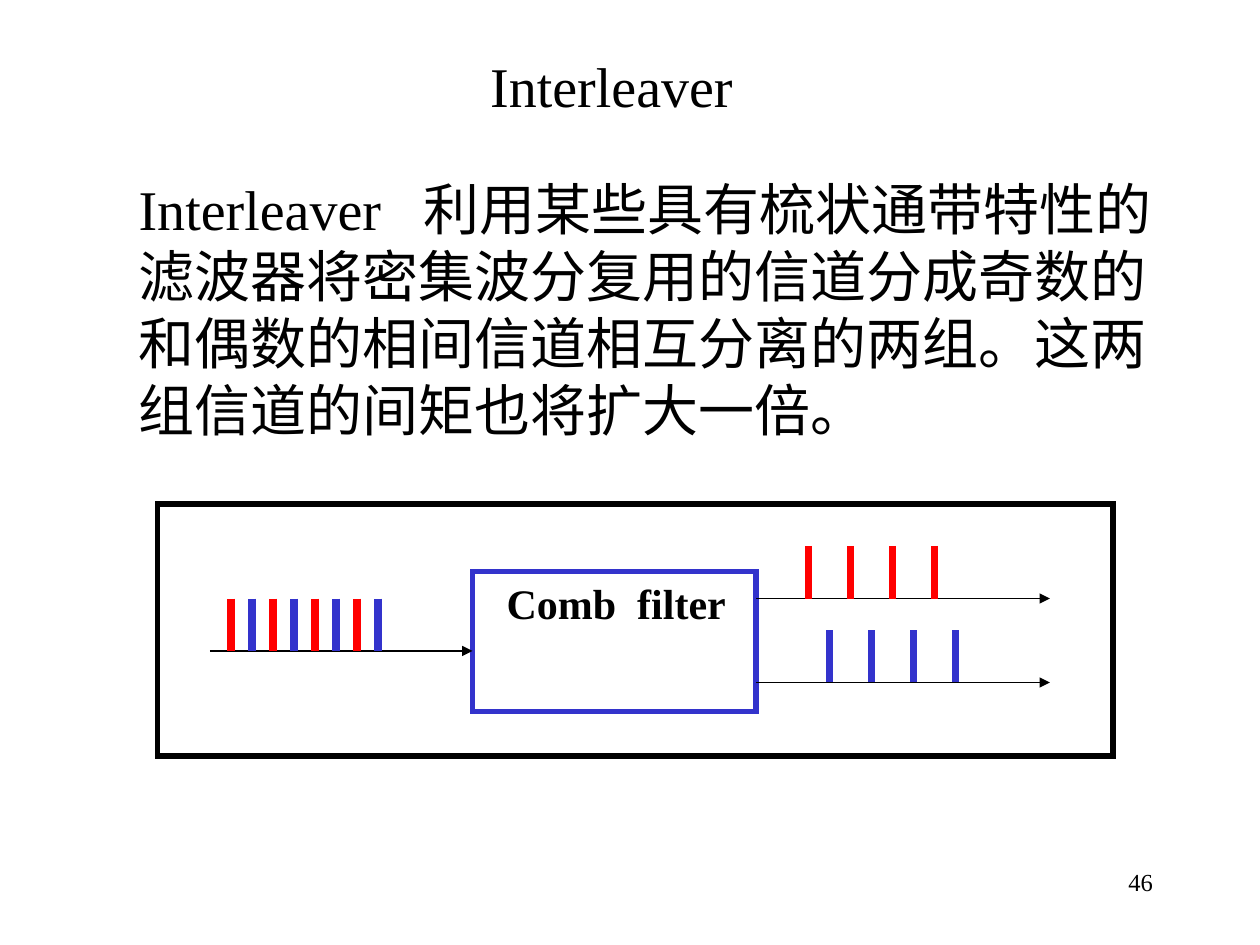
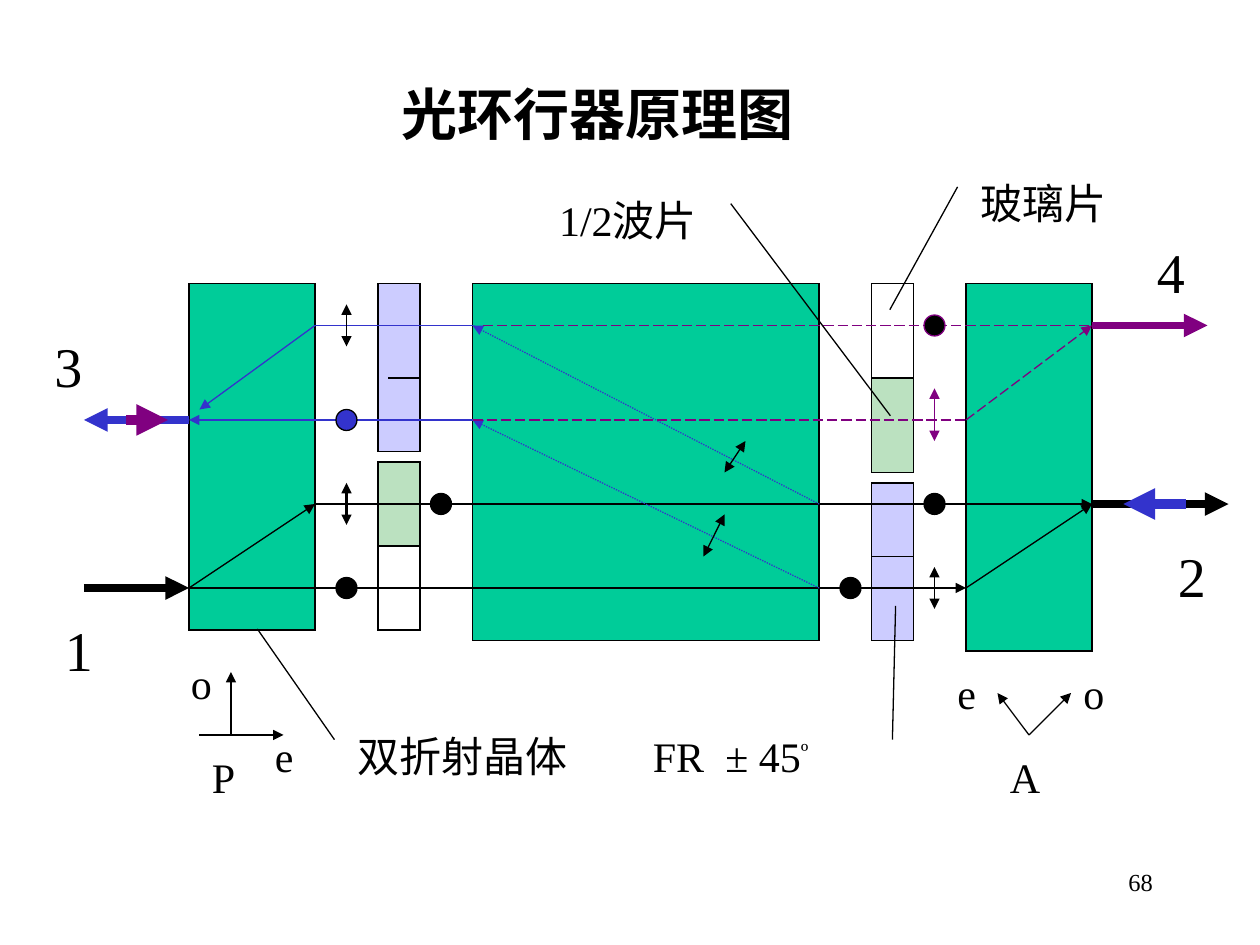
from dataclasses import dataclass
from typing import NamedTuple, Optional

from lxml import etree
from pptx import Presentation
from pptx.dml.color import RGBColor
from pptx.enum.dml import MSO_LINE
from pptx.enum.shapes import MSO_CONNECTOR, MSO_SHAPE
from pptx.enum.text import MSO_ANCHOR, MSO_AUTO_SIZE, PP_ALIGN
from pptx.oxml.ns import qn
from pptx.util import Inches, Pt

STRAIGHT = MSO_CONNECTOR.STRAIGHT
RECTANGLE = MSO_SHAPE.RECTANGLE
CIRCLE = MSO_SHAPE.FLOWCHART_CONNECTOR
DOTTED = MSO_LINE.ROUND_DOT
DASHED = MSO_LINE.LONG_DASH
LEFT, CENTER, RIGHT = PP_ALIGN.LEFT, PP_ALIGN.CENTER, PP_ALIGN.RIGHT
TOP = MSO_ANCHOR.TOP
NO_AUTOFIT = MSO_AUTO_SIZE.NONE
TITLE_AND_BODY, TITLE_ONLY = 1, 5


@dataclass(frozen=True)
class Theme:
    font: str = "Times New Roman"
    black: str = "000000"
    red: str = "FF0000"
    blue: str = "3333CC"
    purple: str = "800080"
    crystal: str = "00CC99"
    rotator: str = "CCCCFF"
    waveplate: str = "79C582"
    large: int = 32
    label: int = 24
    page: int = 14
    thin: float = 0.75
    frame: float = 3
    beam: float = 4.5
    pulse: float = 6


THEME = Theme()
CELL = Inches(1) / 12
PAGE_BOX = (86, 82, 25, 6)
CROSSED_ARROWS = "both"


class Box(NamedTuple):
    left: float
    top: float
    width: float
    height: float


class Line(NamedTuple):
    start: tuple[float, float]
    end: tuple[float, float]
    color: str = THEME.black
    width: float = THEME.thin
    arrow: str = ""
    dash: Optional[MSO_LINE] = None


class Block(NamedTuple):
    box: Box
    fill: str = ""
    opacity: int = 100


class Dot(NamedTuple):
    center: tuple[float, float]
    fill: str = THEME.black
    outline: str = THEME.black


class Label(NamedTuple):
    text: str
    box: Box
    size: int = THEME.label
    align: PP_ALIGN = LEFT
    inset: float = 0.1
    first_gap: float = 0
    superscript: str = ""
    bold: bool = False


class Callout(NamedTuple):
    label: Label
    target: tuple[float, float]
    elbow: tuple[float, float]


def cells(*amounts: float) -> list[int]:
    return [round(amount * CELL) for amount in amounts]


def write(shape, label: Label) -> None:
    frame = shape.text_frame
    frame.word_wrap = True
    frame.auto_size = NO_AUTOFIT
    frame.vertical_anchor = TOP
    frame.margin_left, frame.margin_right = Inches(label.inset), Inches(0.1)
    frame.margin_top = frame.margin_bottom = Inches(0.05)
    paragraph = frame.paragraphs[0]
    paragraph.alignment = label.align
    paragraph.space_before = Pt(0)
    properties = paragraph._p.get_or_add_pPr()
    properties.set("marL", "0")
    properties.set("indent", "0")
    etree.SubElement(properties, qn("a:buNone"))
    font = paragraph.font
    font.name, font.size, font.bold = THEME.font, Pt(label.size), label.bold
    font.color.rgb = RGBColor.from_string(THEME.black)
    pieces = label.text.partition(" ") if label.first_gap else (label.text,)
    for piece in pieces:
        run = paragraph.add_run()
        run.text = piece
        if label.first_gap and piece == " ":
            run._r.get_or_add_rPr().set("spc", str(round(label.first_gap * 100)))
    if label.superscript:
        raised = paragraph.add_run()
        raised.text = label.superscript
        raised._r.get_or_add_rPr().set("baseline", "30000")


def add_label(slide, label: Label) -> None:
    write(slide.shapes.add_textbox(*cells(*label.box)), label)


def fill_placeholder(placeholder, label: Label) -> None:
    (placeholder.left, placeholder.top,
     placeholder.width, placeholder.height) = cells(*label.box)
    write(placeholder, label)


def paint(shape, fill: str, outline: str, width: float) -> None:
    shape.shadow.inherit = False
    if fill:
        shape.fill.solid()
        shape.fill.fore_color.rgb = RGBColor.from_string(fill)
    else:
        shape.fill.background()
    shape.line.color.rgb = RGBColor.from_string(outline)
    shape.line.width = Pt(width)
    etree.SubElement(shape._element.spPr.find(qn("a:ln")), qn("a:miter"), lim="800000")


def add_outlined(slide, kind: MSO_SHAPE, box: Box, fill: str = "",
                 outline: str = THEME.black, width: float = THEME.thin):
    shape = slide.shapes.add_shape(kind, *cells(*box))
    paint(shape, fill, outline, width)
    return shape


def add_block(slide, block: Block) -> None:
    shape = add_outlined(slide, RECTANGLE, block.box, block.fill)
    if block.opacity < 100:
        color = shape._element.spPr.find(qn("a:solidFill"))[0]
        etree.SubElement(color, qn("a:alpha"), val=str(block.opacity * 1000))


def add_dot(slide, dot: Dot) -> None:
    x, y = dot.center
    add_outlined(slide, CIRCLE, Box(x - 1, y - 1, 2, 2), dot.fill, dot.outline)


def add_callout(slide, callout: Callout) -> None:
    left, top, width, height = cells(*callout.label.box)
    right, bottom = left + width, top + height
    builder = slide.shapes.build_freeform(left, top)
    builder.add_line_segments([(right, top), (right, bottom), (left, bottom)], close=True)
    shape = builder.convert_to_shape()
    paint(shape, "", THEME.black, THEME.thin)
    panel = next(shape._element.iter(qn("a:path")))
    panel.set("stroke", "0")
    leader = etree.SubElement(panel.getparent(), qn("a:path"),
                              w=str(width), h=str(height), fill="none")
    for step, point in (("a:moveTo", callout.target), ("a:lnTo", callout.elbow)):
        x, y = cells(*point)
        etree.SubElement(etree.SubElement(leader, qn(step)), qn("a:pt"),
                         x=str(x - left), y=str(y - top))
    write(shape, callout.label)


def add_line(slide, line: Line) -> None:
    connector = slide.shapes.add_connector(STRAIGHT, *cells(*line.start, *line.end))
    connector.line.color.rgb = RGBColor.from_string(line.color)
    connector.line.width = Pt(line.width)
    if line.dash is not None:
        connector.line.dash_style = line.dash
    properties = connector._element.spPr
    outline = properties.find(qn("a:ln"))
    if line.arrow == CROSSED_ARROWS:
        etree.SubElement(outline, qn("a:headEnd"), type="triangle")
    if line.arrow:
        etree.SubElement(outline, qn("a:tailEnd"), type="triangle")
    etree.SubElement(properties, qn("a:effectLst"))


def add_channels(slide, first: float, step: float, base: float, colors: list[str]) -> None:
    for index, color in enumerate(colors):
        x = first + index * step
        add_line(slide, Line((x, base - 5), (x, base), color, THEME.beam))


def start_slide(deck, layout: int, title: Label, page: str):
    slide = deck.slides.add_slide(deck.slide_layouts[layout])
    fill_placeholder(slide.shapes.title, title)
    add_label(slide, Label(page, Box(*PAGE_BOX), THEME.page, RIGHT))
    return slide


def build_interleaver(deck) -> None:
    title = Label("Interleaver", Box(26.25, 4.33, 64, 7.67), THEME.large, CENTER)
    slide = start_slide(deck, TITLE_AND_BODY, title, "46")
    fill_placeholder(slide.placeholders[1], Label(
        "Interleaver 利用某些具有梳状通带特性的滤波器将密集波分复用的信道分成奇数的和"
        "偶数的相间信道相互分离的两组。这两组信道的间矩也将扩大一倍。",
        Box(12, 16, 103, 26.9), THEME.large, first_gap=16))
    comb_box = Box(45, 54.45, 27, 13.33)
    comb = add_outlined(slide, RECTANGLE, comb_box, outline=THEME.blue, width=THEME.frame)
    write(comb, Label("Comb filter", comb_box, inset=0.27, first_gap=6, bold=True))
    for start, end, base in ((20, 45, 62), (72, 100, 57), (72, 100, 65)):
        add_line(slide, Line((start, base), (end, base), arrow="end"))
    add_channels(slide, 22, 2, 62, [THEME.red, THEME.blue] * 4)
    add_channels(slide, 77, 4, 57, [THEME.red] * 4)
    add_channels(slide, 79, 4, 65, [THEME.blue] * 4)
    add_outlined(slide, RECTANGLE, Box(15, 48, 91, 24), width=THEME.frame)


BLOCKS = [
    Block(Box(18, 27, 12, 33), THEME.crystal),
    Block(Box(36, 27, 4, 16), THEME.rotator),
    Block(Box(36, 44, 4, 8), THEME.waveplate, 50),
    Block(Box(36, 52, 4, 8)),
    Block(Box(45, 27, 33, 34), THEME.crystal),
    Block(Box(83, 27, 4, 9)),
    Block(Box(83, 36, 4, 9), THEME.waveplate, 50),
    Block(Box(83, 46, 4, 15), THEME.rotator),
    Block(Box(92, 27, 12, 35), THEME.crystal),
]

BEAMS = [
    Line((8, 56), (18, 56), width=THEME.beam, arrow="end"),
    Line((18, 56), (30, 48), arrow="end"),
    Line((18, 56), (92, 56), arrow="end"),
    Line((30, 48), (104, 48), arrow="end"),
    Line((104, 48), (117, 48), width=THEME.beam, arrow="end"),
    Line((92, 56), (104, 48), arrow="end"),
    Line((78, 56), (45, 40), THEME.blue, arrow="end", dash=DOTTED),
    Line((78, 48), (45, 31), THEME.blue, arrow="end", dash=DOTTED),
    Line((30, 31), (45, 31), THEME.blue),
    Line((45, 40), (18, 40), THEME.blue, arrow="end"),
    Line((30, 31), (19, 39), THEME.blue, arrow="end"),
    Line((18, 40), (8, 40), THEME.blue, THEME.beam, "end"),
    Line((113, 48), (107, 48), THEME.blue, THEME.pulse, "end"),
    Line((12, 40), (16, 40), THEME.purple, THEME.pulse, "end"),
    Line((45, 40), (92, 40), THEME.purple, dash=DASHED),
    Line((46, 31), (104, 31), THEME.purple, dash=DASHED),
    Line((92, 40), (104, 31), THEME.purple, arrow="end", dash=DASHED),
    Line((104, 31), (115, 31), THEME.purple, THEME.beam, "end"),
]

POLARIZATIONS = [
    Line((33, 46), (33, 50), width=1.5, arrow=CROSSED_ARROWS),
    Line((67, 53), (69, 49), arrow=CROSSED_ARROWS),
    Line((69, 45), (71, 42), arrow=CROSSED_ARROWS),
    Line((33, 29), (33, 33), arrow=CROSSED_ARROWS),
    Line((89, 37), (89, 42), THEME.purple, arrow=CROSSED_ARROWS),
    Line((89, 54), (89, 58), arrow=CROSSED_ARROWS),
]

PLATE_SEAMS = [Line((83, 53), (87, 53)), Line((37, 36), (40, 36))]

AXES = [
    Line((19, 70), (27, 70), arrow="end"),
    Line((22, 70), (22, 64), arrow="end"),
    Line((98, 70), (102, 66), arrow="end"),
    Line((98, 70), (95, 66), arrow="end"),
]

DOTS = [
    Dot((33, 56)), Dot((81, 56)), Dot((42, 48)), Dot((89, 48)),
    Dot((33, 40), THEME.blue), Dot((89, 31), outline=THEME.purple),
]

PORTS = [
    Label(port, Box(left, top, 6, 7.67), THEME.large)
    for port, left, top in (("1", 5, 58), ("2", 111, 51), ("3", 4, 31), ("4", 109, 22))
]

AXIS_NAMES = [
    Label(name, Box(left, top, 5, 6))
    for name, left, top in (("o", 17, 62), ("e", 25, 69), ("e", 90, 63),
                            ("o", 102, 63), ("P", 19, 71), ("A", 95, 71))
]

PARTS = [
    Callout(Label("双折射晶体", Box(32.9, 69, 24.1, 6)), (24.5, 59.9), (31.85, 70.45)),
    Callout(Label("FR ± 45", Box(61, 69, 23, 6), first_gap=6, superscript="º"),
            (85.3, 57.7), (85, 70.45)),
    Callout(Label("玻璃片", Box(92.2, 16.35, 14.9, 6)), (84.75, 29.5), (91.2, 17.8)),
    Callout(Label("1/2波片", Box(50, 17.9, 18.6, 6), inset=0.27), (84.8, 39.6), (69.6, 19.4)),
]


def build_circulator(deck) -> None:
    title = Label("光环行器原理图", Box(37, 7, 42, 7.67), THEME.large, bold=True)
    slide = start_slide(deck, TITLE_ONLY, title, "68")
    for draw, items in ((add_block, BLOCKS),
                        (add_line, BEAMS + POLARIZATIONS + PLATE_SEAMS + AXES),
                        (add_dot, DOTS), (add_label, PORTS + AXIS_NAMES),
                        (add_callout, PARTS)):
        for item in items:
            draw(slide, item)


def main() -> None:
    deck = Presentation()
    deck.slide_width, deck.slide_height = Inches(10), Inches(7.5)
    build_interleaver(deck)
    build_circulator(deck)
    deck.save("out.pptx")


if __name__ == "__main__":
    main()
